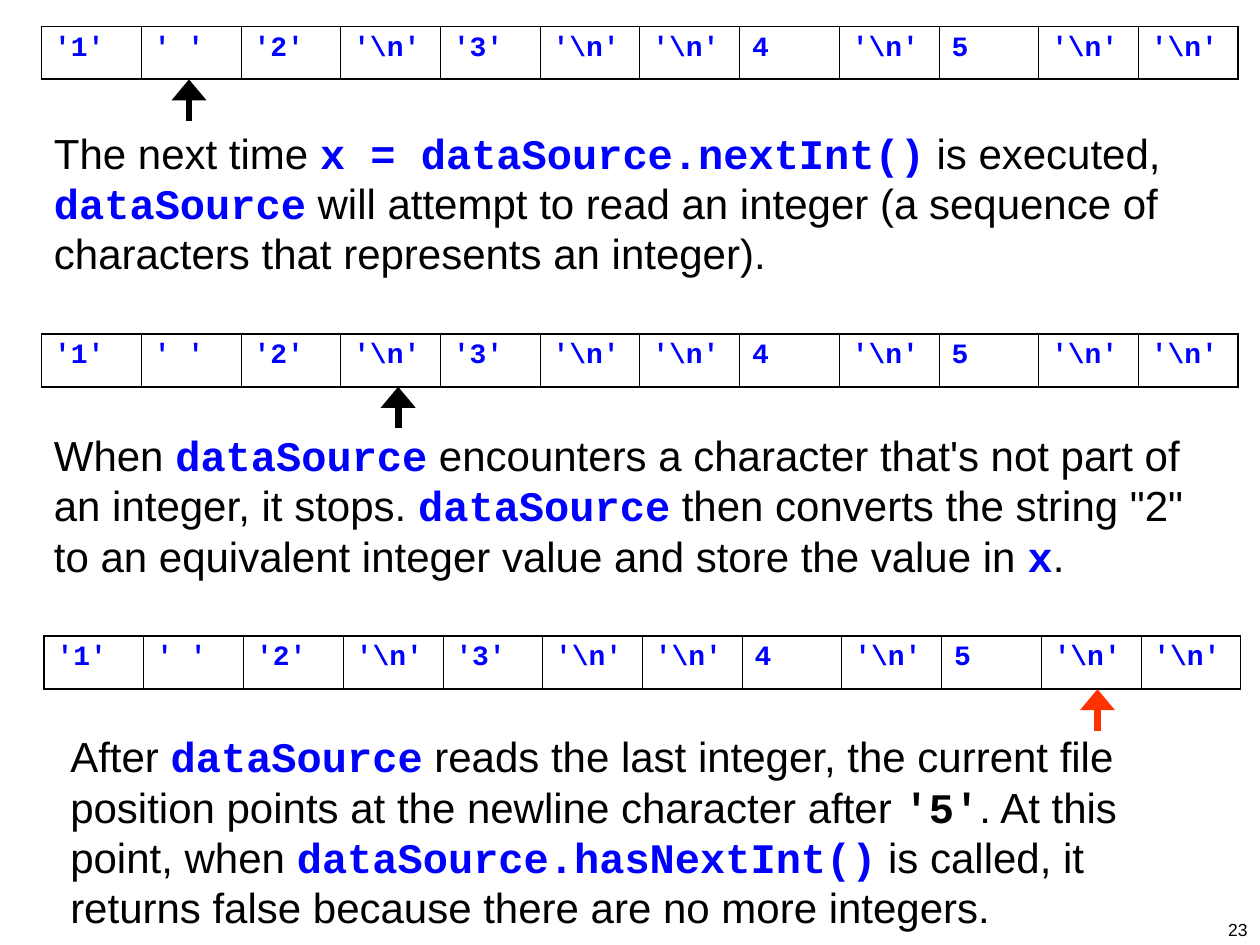
from lxml.etree import SubElement as Sub
from pptx import Presentation
from pptx.dml.color import RGBColor as RGB
from pptx.enum.shapes import MSO_CONNECTOR as Conn
from pptx.enum.text import MSO_ANCHOR as Anchor, PP_ALIGN as Align
from pptx.oxml.ns import qn
from pptx.util import Inches as In, Pt

# Content: code words stand between backticks
CHARS = ["'1'", "' '", "'2'", r"'\n'", "'3'", r"'\n'", r"'\n'", "4",
         r"'\n'", "5", r"'\n'", r"'\n'"]
STEPS = [
    dict(grid=(0.33, 0.21), arrow=(1.5, "000000"), box=(0.33, 0.96, 9.5, 1.41),
         text="The next time `x = dataSource.nextInt()` is executed, "
              "`dataSource` will attempt to read an integer (a sequence of "
              "characters that represents an integer)."),
    dict(grid=(0.33, 2.65), arrow=(3.16, "000000"), box=(0.33, 3.36, 9.5, 1.04),
         text="When `dataSource` encounters a character that's not part of an "
              "integer, it stops. `dataSource` then converts the string \"2\" to "
              "an equivalent integer value and store the value in `x`."),
    dict(grid=(0.35, 5.05), arrow=(8.71, "FF3300"), box=(0.46, 5.75, 9.23, 1.7),
         text="After `dataSource` reads the last integer, the current file "
              "position points at the newline character after `'5'`. At this "
              "point, when `dataSource.hasNextInt()` is called, it returns false "
              "because there are no more integers."),
]
WIDE, HIGH = 9.5, 0.42
BLUE, BLACK = "0000FF", "000000"


def paint(hexa):
    return RGB.from_string(hexa)


def write(par, text, size=24, font="Arial", color=BLACK, bold=False):
    run = par.add_run()
    run.text = text
    run.font.size, run.font.name, run.font.bold = Pt(size), font, bold
    run.font.color.rgb = paint(color)


def code(par, text, size=24, color=BLUE):
    write(par, text, size, "Courier New", color, True)


def edge(cell, side, width):
    line = Sub(cell._tc.get_or_add_tcPr(), qn("a:ln" + side), w=str(Pt(width)))
    Sub(Sub(line, qn("a:solidFill")), qn("a:srgbClr"), val=BLACK)


def add_grid(left, top):
    count = len(CHARS)
    table = slide.shapes.add_table(1, count, In(left), In(top), In(WIDE), In(HIGH)).table
    table.first_row = table.horz_banding = False
    for i, char in enumerate(CHARS):
        table.columns[i].width = In(WIDE / count)
        cell = table.cell(0, i)
        code(cell.text_frame.paragraphs[0], char, 16)
        # Outer edges are heavier than the inner ones
        edge(cell, "L", 1.08 if i == 0 else 0.45)
        edge(cell, "R", 1.08 if i == count - 1 else 0.45)
        edge(cell, "T", 1.08)
        edge(cell, "B", 1.08)
        cell.fill.background()


def add_arrow(x, top, color):
    arrow = slide.shapes.add_connector(Conn.STRAIGHT, In(x), In(top), In(x), In(top + 0.33))
    arrow.line.width = Pt(4)
    arrow.line.color.rgb = paint(color)
    Sub(arrow.line._get_or_add_ln(), qn("a:headEnd"), type="triangle", w="lg", len="med")
    Sub(arrow._element.spPr, qn("a:effectLst"))


def add_box(box):
    frame = slide.shapes.add_textbox(*map(In, box)).text_frame
    frame.word_wrap = True
    return frame


deck = Presentation()
deck.slide_width, deck.slide_height = In(10), In(7.5)
slide = deck.slides.add_slide(deck.slide_layouts[6])

# Each step: character grid, position arrow, explanation
for step in STEPS:
    left, top = step["grid"]
    x, color = step["arrow"]
    add_grid(left, top)
    add_arrow(x, top + HIGH, color)
    par = add_box(step["box"]).paragraphs[0]
    for i, part in enumerate(step["text"].split("`")):
        if i % 2:
            code(par, part, color=BLACK if part == "'5'" else BLUE)
        else:
            write(par, part)

# Page number
frame = add_box((7.67, 7.01, 2.33, 0.5))
frame.vertical_anchor = Anchor.BOTTOM
frame.paragraphs[0].alignment = Align.RIGHT
write(frame.paragraphs[0], "23", size=10)

deck.save("out.pptx")
